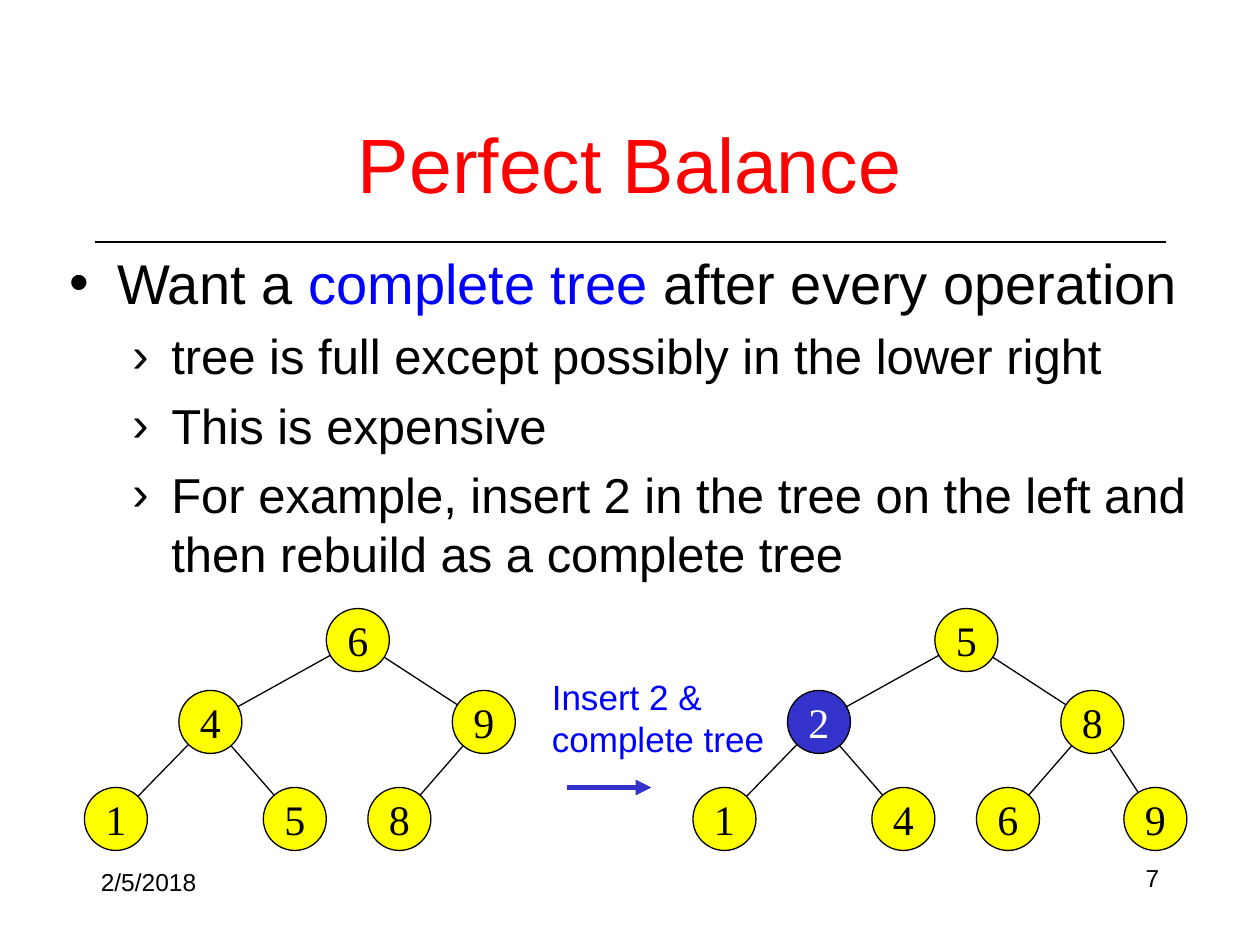
from math import hypot
from lxml import etree
from pptx import Presentation
from pptx.dml.color import RGBColor
from pptx.enum import shapes, text
from pptx.oxml.ns import qn
from pptx.util import Inches, Pt

TITLE = "Perfect Balance"
# level, runs as (words, colour name)
BODY = [
    (0, [("Want a ", "ink"), ("complete tree", "blue"),
         (" after every operation", "ink")]),
    (1, [("tree is full except possibly in the lower right", "ink")]),
    (1, [("This is expensive", "ink")]),
    (1, [("For example, insert 2 in the tree on the left and "
          "then rebuild as a complete tree", "ink")]),
]
STEP = "Insert 2 &\ncomplete tree"
DATE, PAGE = "2/5/2018", "7"
# left edge, keys in level order
TREES = [(0.67, "649158"), (5.5, "5281469")]
NEW = (1, 1)  # tree and slot of the inserted key

# node offsets from the tree's left edge, in level order
SLOTS = [(1.92, 4.83), (0.75, 5.48), (2.92, 5.48),
         (0, 6.25), (1.42, 6.25), (2.25, 6.25), (3.42, 6.25)]
NODE = 0.5
THEME = {
    "font": "Arial", "serif": "Times New Roman",
    "ink": "000000", "red": "FF0000", "blue": "0000FF",
    "yellow": "FFFF00", "accent": "3333CC", "white": "FFFFFF",
    "title": 44, "body": (32, 28), "key": 24, "step": 20, "foot": 14,
}
# left indent, hanging indent, space before, bullet
LEVELS = [(0.38, 0.38, 0, "•"), (0.81, 0.31, 6, "›")]


def tint(name):
    return RGBColor.from_string(THEME[name])


def style(run, size, color, face="font"):
    font = run.font
    font.name, font.size = THEME[face], Pt(size)
    font.color.rgb = tint(color)


def fit(frame, inset=0.05, wrap=True):
    frame.margin_left = frame.margin_right = Inches(inset)
    frame.margin_top = frame.margin_bottom = Inches(inset)
    frame.word_wrap = wrap
    frame.auto_size = text.MSO_AUTO_SIZE.NONE


def place(shape, *box):
    shape.left, shape.top, shape.width, shape.height = map(Inches, box)


def label(slide, words, box, size, color, align=text.PP_ALIGN.LEFT, wrap=True):
    frame = slide.shapes.add_textbox(*map(Inches, box)).text_frame
    fit(frame, wrap=wrap)
    frame.text = words
    for para in frame.paragraphs:
        para.alignment = align
        style(para.runs[0], size, color)
    return frame


def stroke(slide, start, end, color="ink", width=0.75):
    line = slide.shapes.add_connector(
        shapes.MSO_CONNECTOR.STRAIGHT, *map(Inches, (*start, *end)))
    line.line.color.rgb, line.line.width = tint(color), Pt(width)
    etree.SubElement(line._element.spPr, qn("a:effectLst"))
    return line


def edge(slide, upper, lower):
    """Join two nodes from rim to rim."""
    rad = NODE / 2
    (ax, ay), (bx, by) = [(x + rad, y + rad) for x, y in (upper, lower)]
    span = hypot(bx - ax, by - ay)
    dx, dy = (bx - ax) * rad / span, (by - ay) * rad / span
    stroke(slide, (ax + dx, ay + dy), (bx - dx, by - dy))


def node(slide, spot, key, fill, color):
    disc = slide.shapes.add_shape(
        shapes.MSO_SHAPE.OVAL, *map(Inches, (*spot, NODE, NODE)))
    disc.shadow.inherit = False
    disc.fill.solid()
    disc.fill.fore_color.rgb = tint(fill)
    disc.line.color.rgb, disc.line.width = tint("ink"), Pt(0.75)
    frame = disc.text_frame
    fit(frame, 0, False)
    frame.vertical_anchor = text.MSO_ANCHOR.MIDDLE
    frame.text = key
    frame.paragraphs[0].alignment = text.PP_ALIGN.CENTER
    style(frame.paragraphs[0].runs[0], THEME["key"], color, "serif")


def tree(slide, which, left, keys):
    spots = [(left + x, y) for x, y in SLOTS[:len(keys)]]
    for slot, (spot, key) in enumerate(zip(spots, keys)):
        fresh = (which, slot) == NEW
        node(slide, spot, key, "accent" if fresh else "yellow",
             "white" if fresh else "ink")
    for slot in range(1, len(keys)):
        edge(slide, spots[(slot - 1) // 2], spots[slot])


def head(slide):
    title = slide.shapes.title
    place(title, 0.75, 0.67, 8.5, 1.25)
    frame = title.text_frame
    fit(frame)
    frame.vertical_anchor = text.MSO_ANCHOR.MIDDLE
    frame.text = TITLE
    frame.paragraphs[0].alignment = text.PP_ALIGN.CENTER
    style(frame.paragraphs[0].runs[0], THEME["title"], "red")


def points(slide):
    body = slide.placeholders[1]
    place(body, 0.5, 1.92, 9.25, 3)
    frame = body.text_frame
    fit(frame)
    for i, (level, runs) in enumerate(BODY):
        para = frame.add_paragraph() if i else frame.paragraphs[0]
        left, hang, gap, mark = LEVELS[level]
        para.level, para.space_before = level, Pt(gap)
        props = para._p.get_or_add_pPr()
        props.set("marL", str(Inches(left)))
        props.set("indent", str(-Inches(hang)))
        etree.SubElement(props, qn("a:buChar")).set("char", mark)
        for words, color in runs:
            run = para.add_run()
            run.text = words
            style(run, THEME["body"][level], color)


def main():
    deck = Presentation()
    deck.slide_width, deck.slide_height = Inches(10), Inches(7.5)
    slide = deck.slides.add_slide(deck.slide_layouts[1])
    stroke(slide, (0.75, 1.92), (9.25, 1.92))
    head(slide)
    points(slide)
    label(slide, STEP, (4.33, 5.31, 1.8, 0.73), THEME["step"], "blue",
          wrap=False)
    for which, (left, keys) in enumerate(TREES):
        tree(slide, which, left, keys)
    arrow = stroke(slide, (4.5, 6.25), (5.17, 6.25), "accent", 3)
    etree.SubElement(arrow.line._get_or_add_ln(),
                     qn("a:tailEnd")).set("type", "triangle")
    label(slide, DATE, (0.75, 6.83, 2.08, 0.34), THEME["foot"], "ink")
    page = label(slide, PAGE, (7.17, 6.83, 2.08, 0.32), THEME["foot"], "ink",
                 text.PP_ALIGN.RIGHT)
    page.paragraphs[0].line_spacing = 0.9
    deck.save("out.pptx")


if __name__ == "__main__":
    main()
